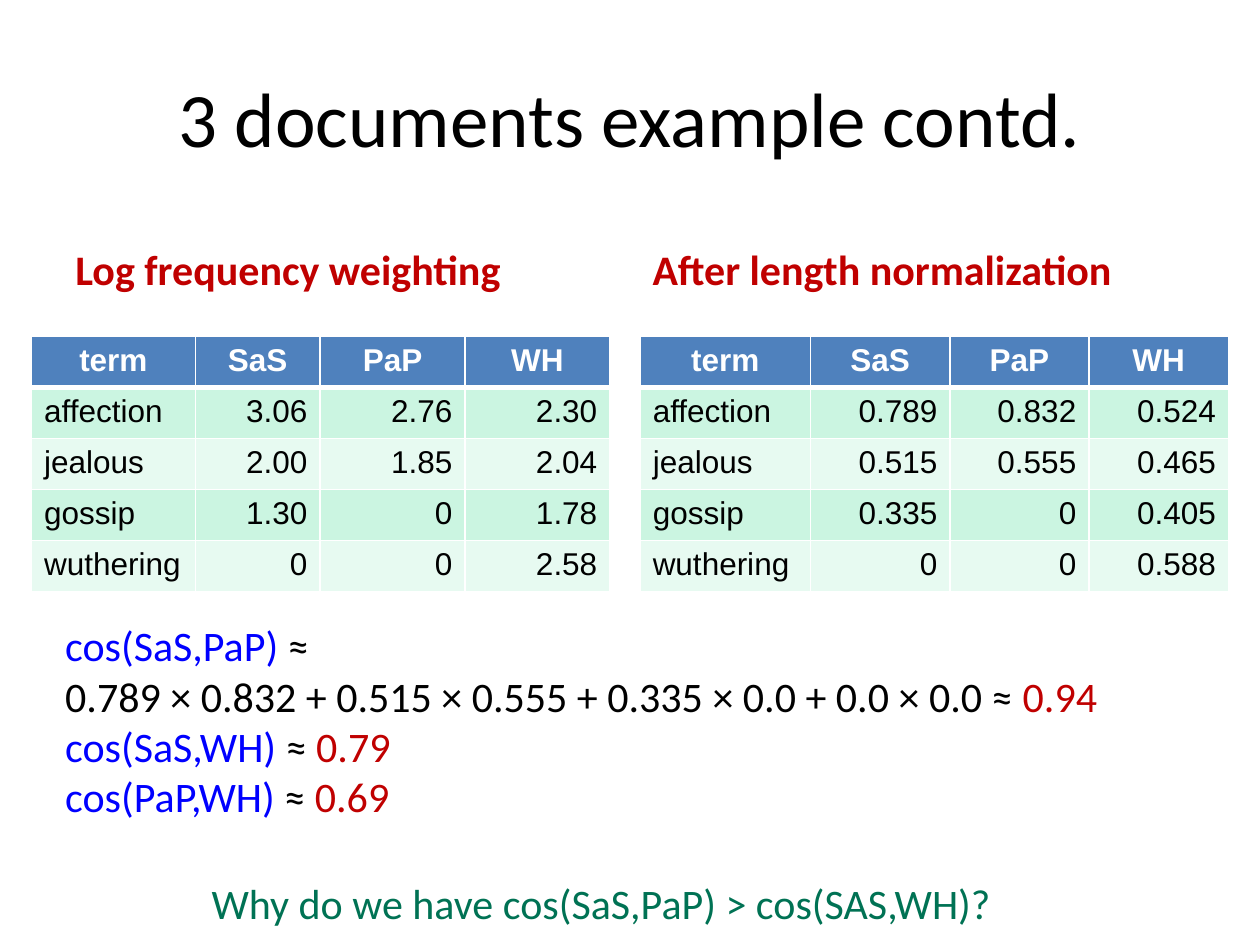
from dataclasses import dataclass

from lxml.etree import SubElement as Sub
from pptx import Presentation
from pptx.dml.color import RGBColor as RGB
from pptx.enum.text import MSO_ANCHOR as Anchor, PP_ALIGN as Align
from pptx.oxml.ns import qn
from pptx.util import Pt

HUES = {
    "ink": "000000", "white": "FFFFFF", "red": "C00000", "blue": "0000FF",
    "green": "007254", "head": "4F81BD", "dark": "CBF5E1", "light": "E7FAF1",
}
ROW = 29.2  # table row height
TOP = 192.2  # top of both tables


@dataclass
class Box:
    left: float
    top: float
    width: float
    height: float
    lines: list[list[tuple[str, str]]]  # runs of (text, hue) per line
    size: int = 24
    bold: bool = False
    align: Align = Align.LEFT
    anchor: Anchor = Anchor.TOP
    wrap: bool = True


@dataclass
class Grid:
    left: float
    cols: list[float]
    rows: list[list[str]]


def hue(name: str) -> RGB:
    return RGB.from_string(HUES[name])


def draw_box(slide, box: Box) -> None:
    shape = slide.shapes.add_textbox(
        Pt(box.left), Pt(box.top), Pt(box.width), Pt(box.height))
    frame = shape.text_frame
    frame.word_wrap = box.wrap
    frame.vertical_anchor = box.anchor
    for i, line in enumerate(box.lines):
        para = frame.add_paragraph() if i else frame.paragraphs[0]
        para.alignment = box.align
        font = para.font
        font.name, font.size, font.bold = "Calibri", Pt(box.size), box.bold
        for text, tint in line:
            run = para.add_run()
            run.text = text
            run.font.color.rgb = hue(tint)


def edge(cell, side: str, width: float) -> None:
    props = cell._tc.get_or_add_tcPr()
    line = Sub(props, qn(f"a:ln{side}"), w=str(Pt(width)))
    fill = Sub(line, qn("a:solidFill"))
    Sub(fill, qn("a:srgbClr"), val=HUES["white"])


def draw_cell(cell, text: str, row: int, col: int) -> None:
    # The rule below the header is thicker than the rest
    widths = {"L": 1, "R": 1, "T": 3 if row == 1 else 1, "B": 1 if row else 3}
    for side, width in widths.items():
        edge(cell, side, width)
    cell.fill.solid()
    band = "dark" if row % 2 else "light"
    cell.fill.fore_color.rgb = hue(band if row else "head")
    cell.text = text
    para = cell.text_frame.paragraphs[0]
    body = Align.RIGHT if col else Align.LEFT
    para.alignment = body if row else Align.CENTER
    font = para.font
    font.name, font.size, font.bold = "Arial", Pt(18), row == 0
    font.color.rgb = hue("ink" if row else "white")


def draw_grid(slide, grid: Grid) -> None:
    count = len(grid.rows)
    table = slide.shapes.add_table(
        count, len(grid.cols), Pt(grid.left), Pt(TOP),
        Pt(sum(grid.cols)), Pt(ROW * count)).table
    for col, width in zip(table.columns, grid.cols):
        col.width = Pt(width)
    for r, texts in enumerate(grid.rows):
        table.rows[r].height = Pt(ROW)
        for c, text in enumerate(texts):
            draw_cell(table.cell(r, c), text, r, c)


def head(left: float, text: str) -> Box:
    return Box(left, 121, 318.2, 50.4, [[(text, "red")]],
               bold=True, anchor=Anchor.BOTTOM)


NAMES = ["term", "SaS", "PaP", "WH"]

BOXES = [
    # Title
    Box(36, 21.6, 648, 90, [[("3 documents example contd.", "ink")]],
        size=44, align=Align.CENTER, anchor=Anchor.MIDDLE),
    # Table headings
    head(36, "Log frequency weighting"),
    head(365.8, "After length normalization"),
    # Cosine scores
    Box(30.2, 350.6, 624.2, 123.8, [
        [("cos(SaS,PaP) ", "blue"), ("≈", "ink")],
        [("0.789 × 0.832 + 0.515 × 0.555 + 0.335 × 0.0 + 0.0 × 0.0 ≈ ", "ink"),
         ("0.94", "red")],
        [("cos(SaS,WH)", "blue"), (" ≈ ", "ink"), ("0.79", "red")],
        [("cos(PaP,WH) ", "blue"), ("≈ ", "ink"), ("0.69", "red")],
    ]),
    # Closing question
    Box(113.8, 498.2, 463.7, 36,
        [[("Why do we have cos(SaS,PaP) > cos(SAS,WH)?", "green")]],
        wrap=False),
]

GRIDS = [
    Grid(18, [93.6, 71.3, 82.8, 82.8], [
        NAMES,
        ["affection", "3.06", "2.76", "2.30"],
        ["jealous", "2.00", "1.85", "2.04"],
        ["gossip", "1.30", "0", "1.78"],
        ["wuthering", "0", "0", "2.58"],
    ]),
    Grid(365.8, [97.2, 79.8, 79.4, 79.8], [
        NAMES,
        ["affection", "0.789", "0.832", "0.524"],
        ["jealous", "0.515", "0.555", "0.465"],
        ["gossip", "0.335", "0", "0.405"],
        ["wuthering", "0", "0", "0.588"],
    ]),
]


def main() -> None:
    deck = Presentation()
    deck.slide_width, deck.slide_height = Pt(720), Pt(540)
    slide = deck.slides.add_slide(deck.slide_layouts[6])
    for box in BOXES:
        draw_box(slide, box)
    for grid in GRIDS:
        draw_grid(slide, grid)
    deck.save("out.pptx")


if __name__ == "__main__":
    main()
